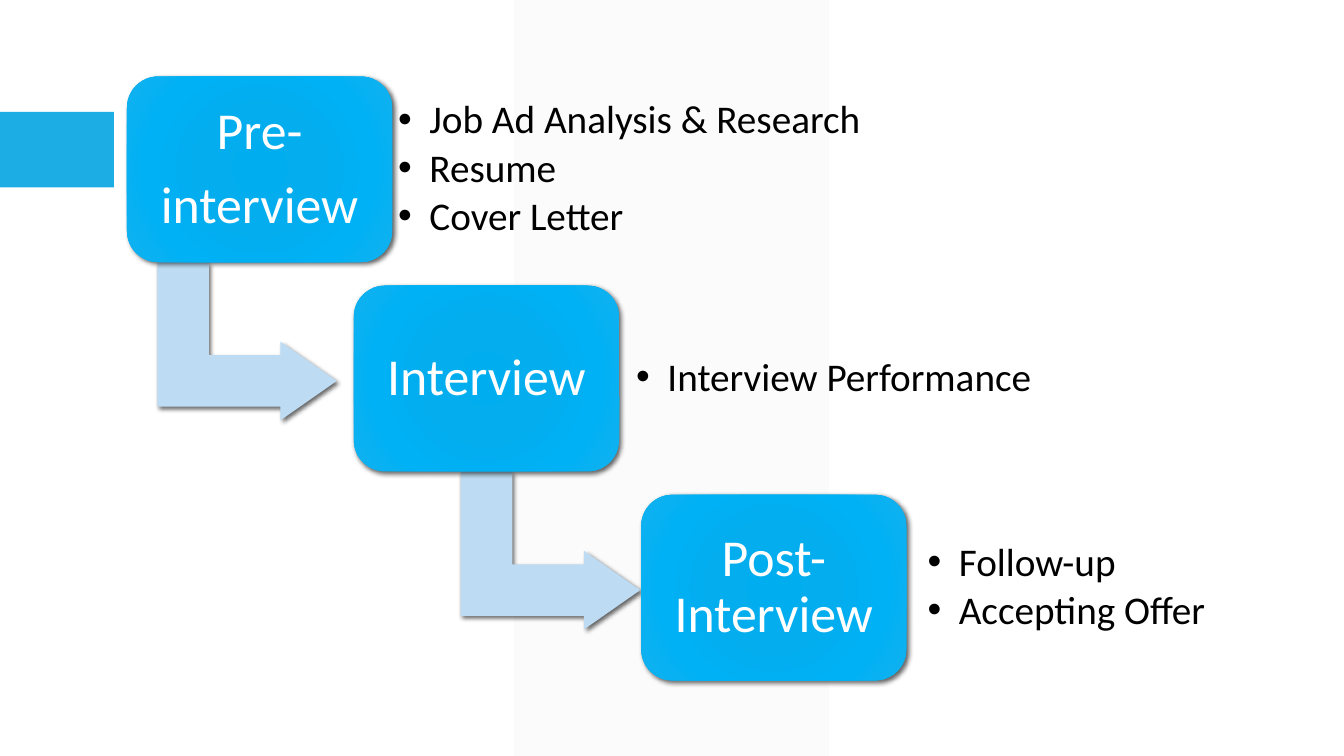
from lxml.etree import SubElement
from pptx import Presentation
from pptx.dml.color import RGBColor
from pptx.enum.shapes import MSO_SHAPE
from pptx.enum.text import MSO_ANCHOR, PP_ALIGN
from pptx.oxml.ns import qn
from pptx.util import Inches, Pt

COLORS = {
    "band": "F2F2F2",
    "accent": "1CADE4",
    "arrow": "BDDBF2",
    "label": "FFFFFF",
    "detail": "000000",
    "shadow": "000000",
}
BOX_GRADIENT = [(0, "00ADEF"), (34, "03ADEE"), (70, "00B1F5"), (100, "12B1EE")]
FIRST_TOP, STEP_DOWN = 0.76, 2.075
BOX_WIDTH, BOX_HEIGHT = 2.63, 1.84
ARROW_WIDTH, ARROW_HEIGHT, ARROW_DROP = 1.56, 1.78, 1.74
DETAIL_HEIGHT = 1.49


def child(parent, tag, **attributes):
    """Add a DrawingML element with the given attributes."""
    return SubElement(parent, qn(f"a:{tag}"), {k: str(v) for k, v in attributes.items()})


def write(frame, lines, size, color, align, after, inset, bullet=False):
    """Fill a text frame with one formatted paragraph per line."""
    frame.word_wrap = True
    frame.vertical_anchor = MSO_ANCHOR.MIDDLE
    frame.margin_left = frame.margin_right = Inches(inset)
    frame.margin_top = frame.margin_bottom = Inches(inset)
    for index, line in enumerate(lines):
        paragraph = frame.add_paragraph() if index else frame.paragraphs[0]
        paragraph.alignment = align
        paragraph.line_spacing = 0.9
        paragraph.space_after = Pt(after)
        if bullet:
            properties = paragraph._p.get_or_add_pPr()
            properties.set("marL", str(Inches(0.31)))
            properties.set("indent", str(-Inches(0.31)))
            child(properties, "buFont", typeface="Arial")
            child(properties, "buChar", char="•")
        run = paragraph.add_run()
        run.text = line
        run.font.size = Pt(size)
        run.font.name = "Calibri"
        run.font.color.rgb = RGBColor.from_string(COLORS[color])


class StepSlide:
    """Style and current slide of a step-down process."""

    def __init__(self, slide):
        """Keep the slide to draw on."""
        self.shapes = slide.shapes

    def block(self, kind, bounds, color=None, adjustments=(), alpha=None, shadow=False):
        """Draw a borderless preset shape."""
        shape = self.shapes.add_shape(kind, *map(Inches, bounds))
        shape.line.fill.background()
        shape.shadow.inherit = False
        for index, value in enumerate(adjustments):
            shape.adjustments[index] = value
        if color:
            shape.fill.solid()
            shape.fill.fore_color.rgb = RGBColor.from_string(COLORS[color])
        if alpha:
            solid = shape._element.spPr.find(qn("a:solidFill"))
            child(solid[0], "alpha", val=alpha * 1000)
        if shadow:
            effects = shape._element.spPr.find(qn("a:effectLst"))
            outer = child(effects, "outerShdw", blurRad=Pt(3.5), dist=Pt(2),
                          dir=45 * 60000, algn="ctr", rotWithShape=0)
            child(child(outer, "srgbClr", val=COLORS["shadow"]), "alpha", val=60000)
        return shape

    def arrow(self, left, top):
        """Draw an arrow that goes down and then right."""
        arrow = self.block(MSO_SHAPE.BENT_UP_ARROW, (left, top, ARROW_WIDTH, ARROW_HEIGHT),
                           "arrow", (0.328, 0.25, 0.358), shadow=True)
        arrow.rotation = 90

    def stage(self, left, top, lines):
        """Draw a labelled stage box with a radial gradient."""
        box = self.block(MSO_SHAPE.ROUNDED_RECTANGLE, (left, top, BOX_WIDTH, BOX_HEIGHT),
                         adjustments=(0.167,), shadow=True)
        box.fill.background()
        properties = box._element.spPr
        gradient = child(properties, "gradFill", rotWithShape=1)
        stops = child(gradient, "gsLst")
        for position, color in BOX_GRADIENT:
            child(child(stops, "gs", pos=position * 1000), "srgbClr", val=color)
        circle = child(gradient, "path", path="circle")
        child(circle, "fillToRect", l=100000, t=100000, r=100000, b=100000)
        properties.replace(properties.find(qn("a:noFill")), gradient)
        write(box.text_frame, lines, size=37, color="label", align=PP_ALIGN.CENTER,
              after=13, inset=0.15)

    def details(self, left, top, width, inset, lines):
        """Place the bullet list that belongs to a stage."""
        area = self.shapes.add_textbox(*map(Inches, (left, top, width, DETAIL_HEIGHT)))
        write(area.text_frame, lines, size=28, color="detail", align=PP_ALIGN.LEFT,
              after=4.2, inset=inset, bullet=True)


STAGES = [
    (1.26, ["Pre-", "interview"], 1.67, (3.83, 5.76, 0.12),
     ["Job Ad Analysis & Research", "Resume", "Cover Letter"]),
    (3.51, ["Interview"], 4.68, (6.19, 4.31, 0.12), ["Interview Performance"]),
    (6.36, ["Post- Interview"], None, (9.05, 3.39, 0.15), ["Follow-up", "Accepting Offer"]),
]

presentation = Presentation()
presentation.slide_width = Inches(13.33)
presentation.slide_height = Inches(7.5)
process = StepSlide(presentation.slides.add_slide(presentation.slide_layouts[6]))

process.block(MSO_SHAPE.PARALLELOGRAM, (5.1, 0, 3.12, 7.5), "band", (0,), alpha=30)
process.block(MSO_SHAPE.RECTANGLE, (0, 1.11, 1.13, 0.75), "accent")

for step, (left, label, arrow_left, (detail_left, width, inset), points) in enumerate(STAGES):
    top = FIRST_TOP + step * STEP_DOWN
    if arrow_left:
        process.arrow(arrow_left, top + ARROW_DROP)
    process.stage(left, top, label)
    process.details(detail_left, top + (BOX_HEIGHT - DETAIL_HEIGHT) / 2, width, inset, points)

presentation.save("out.pptx")
